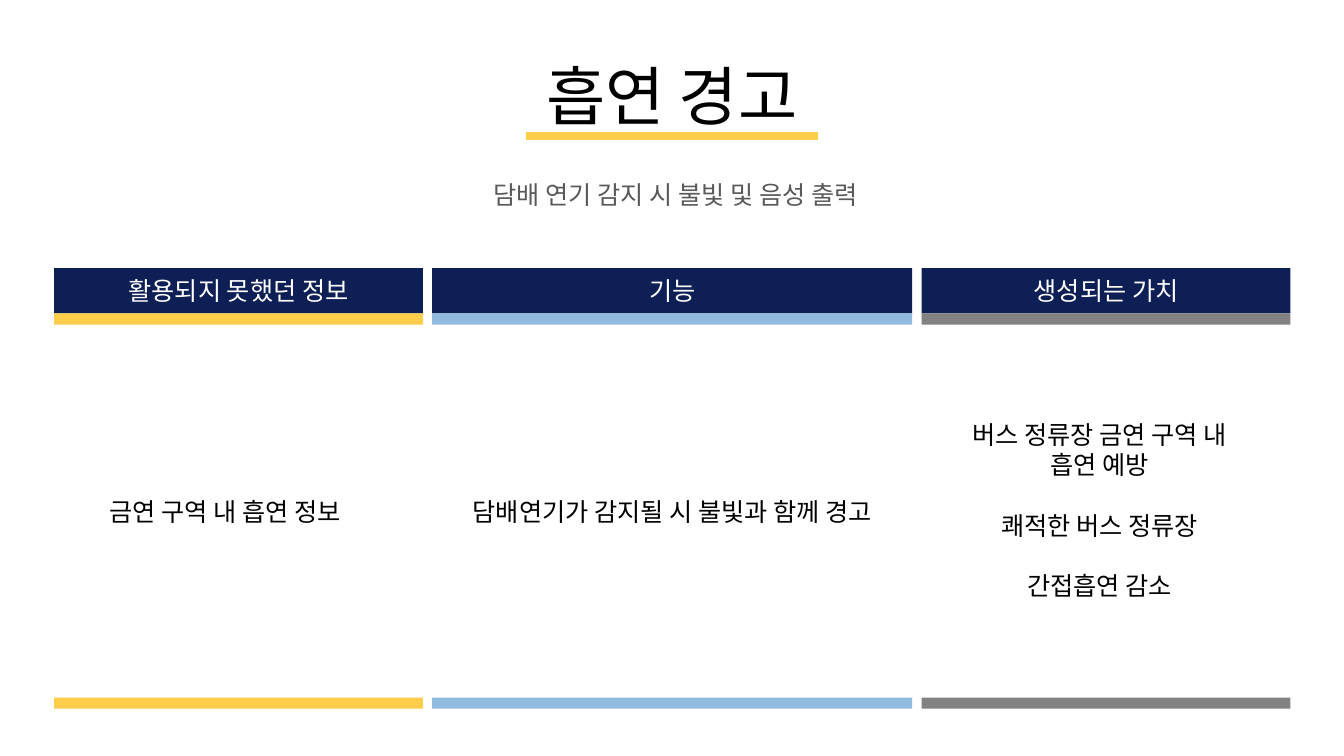
from dataclasses import dataclass

from lxml.etree import SubElement
from pptx import Presentation
from pptx.dml.color import RGBColor
from pptx.enum.shapes import MSO_CONNECTOR, MSO_SHAPE
from pptx.enum.text import MSO_ANCHOR, MSO_AUTO_SIZE, PP_ALIGN
from pptx.oxml.ns import qn
from pptx.shapes.autoshape import Shape
from pptx.slide import Slide
from pptx.text.text import TextFrame
from pptx.util import Inches, Length, Pt


@dataclass(frozen=True)
class Theme:
    font: str = "Noto Sans CJK KR"
    ink: str = "000000"
    muted: str = "595959"
    white: str = "FFFFFF"
    navy: str = "0E1F55"
    yellow: str = "FFCD4A"
    blue: str = "90BADE"
    gray: str = "828282"
    title_size: float = 46
    text_size: float = 18
    item_gap: float = 21.6
    underline: float = 6


@dataclass(frozen=True)
class Box:
    left: float
    top: float
    width: float
    height: float


@dataclass(frozen=True)
class Topic:
    heading: str
    accent: str
    width: float
    items: tuple[str, ...]
    body: Box


THEME = Theme()
SLIDE_WIDTH, SLIDE_HEIGHT = Inches(13.33), Inches(7.5)
MARGIN, GAP = 4.02, 0.7
SIDE_WIDTH, MIDDLE_WIDTH = 27.44, 35.72
HEADING_TOP, HEADING_HEIGHT = 35.47, 6
ACCENT_HEIGHT, FOOT_TOP = 1.47, 92.27
LINE_HEIGHT = 5.33

TITLE = Box(39.16, 6.8, 21.64, 11.73)
SUBTITLE = Box(24.31, 23.07, 51.91, LINE_HEIGHT)
UNDERLINE_Y = 18

TOPICS = (
    Topic("활용되지 못했던 정보", THEME.yellow, SIDE_WIDTH,
          ("금연 구역 내 흡연 정보",), Box(6.38, 64.93, 20.71, LINE_HEIGHT)),
    Topic("기능", THEME.blue, MIDDLE_WIDTH,
          ("담배연기가 감지될 시 불빛과 함께 경고",), Box(30.38, 64.93, 39.31, LINE_HEIGHT)),
    Topic("생성되는 가치", THEME.gray, SIDE_WIDTH,
          ("버스 정류장 금연 구역 내\v흡연 예방", "쾌적한 버스 정류장", "간접흡연 감소"),
          Box(66.24, 54.8, 31.13, 25.6)),
)


def across(percent: float) -> Length:
    return Length(round(SLIDE_WIDTH * percent / 100))


def down(percent: float) -> Length:
    return Length(round(SLIDE_HEIGHT * percent / 100))


def place(box: Box) -> tuple[Length, Length, Length, Length]:
    return across(box.left), down(box.top), across(box.width), down(box.height)


def write(frame: TextFrame, items: tuple[str, ...], size: float, color: str) -> None:
    for index, item in enumerate(items):
        paragraph = frame.add_paragraph() if index else frame.paragraphs[0]
        paragraph.text = item
        paragraph.alignment = PP_ALIGN.CENTER
        if index:
            paragraph.space_before = Pt(THEME.item_gap)
        paragraph.font.size = Pt(size)
        paragraph.font.color.rgb = RGBColor.from_string(color)
        paragraph.font.name = THEME.font
        defaults = paragraph._p.pPr.find(qn("a:defRPr"))
        SubElement(defaults, qn("a:ea"), typeface=THEME.font)


def add_text(slide: Slide, box: Box, items: tuple[str, ...], size: float,
             color: str, wrap: bool = True) -> None:
    frame = slide.shapes.add_textbox(*place(box)).text_frame
    frame.word_wrap = wrap
    frame.auto_size = MSO_AUTO_SIZE.SHAPE_TO_FIT_TEXT
    write(frame, items, size, color)


def add_band(slide: Slide, box: Box, color: str) -> Shape:
    band = slide.shapes.add_shape(MSO_SHAPE.RECTANGLE, *place(box))
    band.shadow.inherit = False
    band.fill.solid()
    band.fill.fore_color.rgb = RGBColor.from_string(color)
    band.line.fill.background()
    return band


def add_underline(slide: Slide) -> None:
    y = down(UNDERLINE_Y)
    underline = slide.shapes.add_connector(
        MSO_CONNECTOR.STRAIGHT, across(TITLE.left), y, across(100 - TITLE.left), y)
    underline.line.color.rgb = RGBColor.from_string(THEME.yellow)
    underline.line.width = Pt(THEME.underline)
    SubElement(underline._element.spPr, qn("a:effectLst"))


def add_topic(slide: Slide, topic: Topic, left: float) -> None:
    heading = add_band(slide, Box(left, HEADING_TOP, topic.width, HEADING_HEIGHT), THEME.navy)
    heading.text_frame.vertical_anchor = MSO_ANCHOR.MIDDLE
    write(heading.text_frame, (topic.heading,), THEME.text_size, THEME.white)
    for top in (HEADING_TOP + HEADING_HEIGHT, FOOT_TOP):
        add_band(slide, Box(left, top, topic.width, ACCENT_HEIGHT), topic.accent)
    add_text(slide, topic.body, topic.items, THEME.text_size, THEME.ink)


def main() -> None:
    deck = Presentation()
    deck.slide_width, deck.slide_height = SLIDE_WIDTH, SLIDE_HEIGHT
    slide = deck.slides.add_slide(deck.slide_layouts[6])
    add_text(slide, TITLE, ("흡연 경고",), THEME.title_size, THEME.ink, wrap=False)
    add_underline(slide)
    add_text(slide, SUBTITLE, ("담배 연기 감지 시 불빛 및 음성 출력",),
             THEME.text_size, THEME.muted)
    left = MARGIN
    for topic in TOPICS:
        add_topic(slide, topic, left)
        left += topic.width + GAP
    deck.save("out.pptx")


if __name__ == "__main__":
    main()
